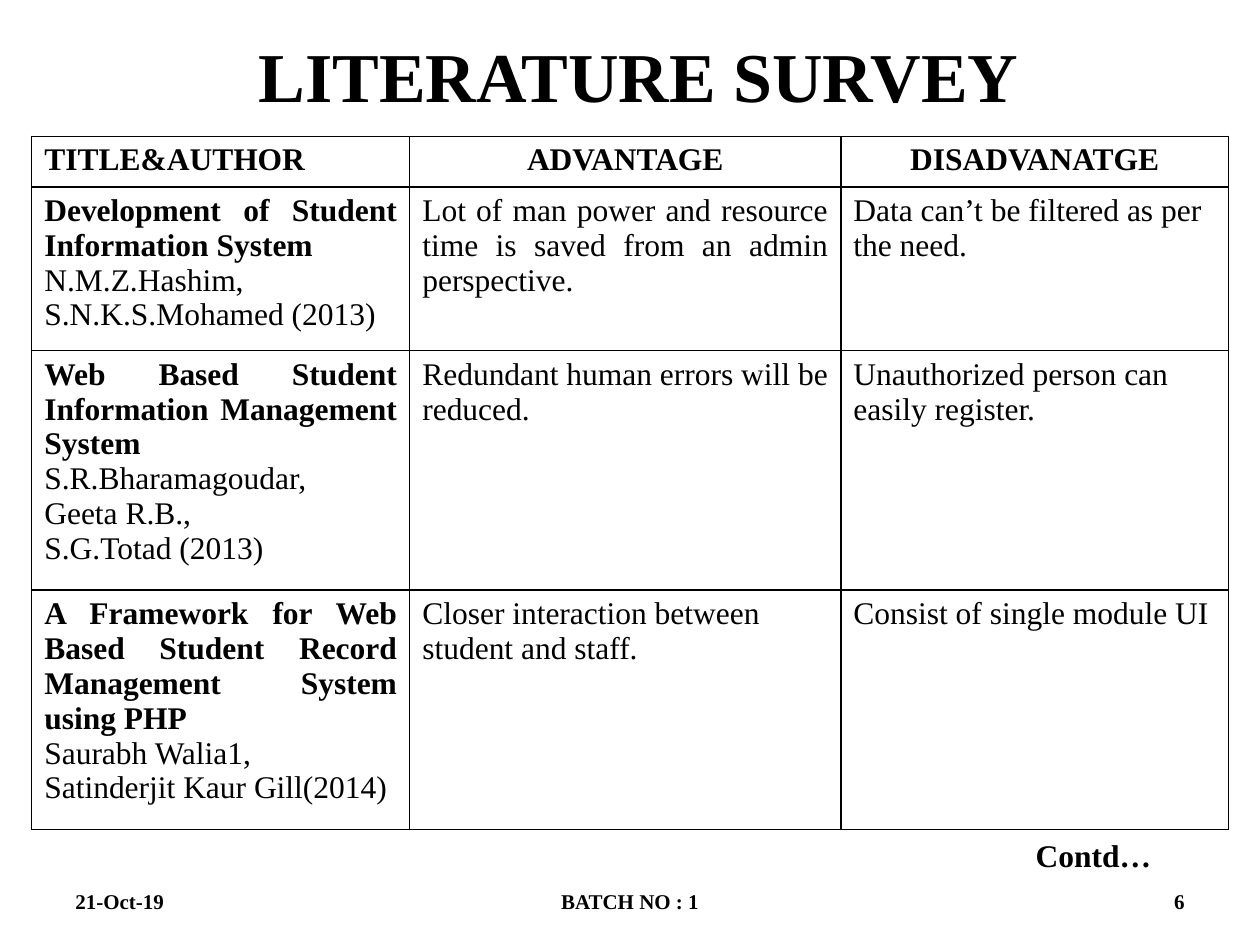
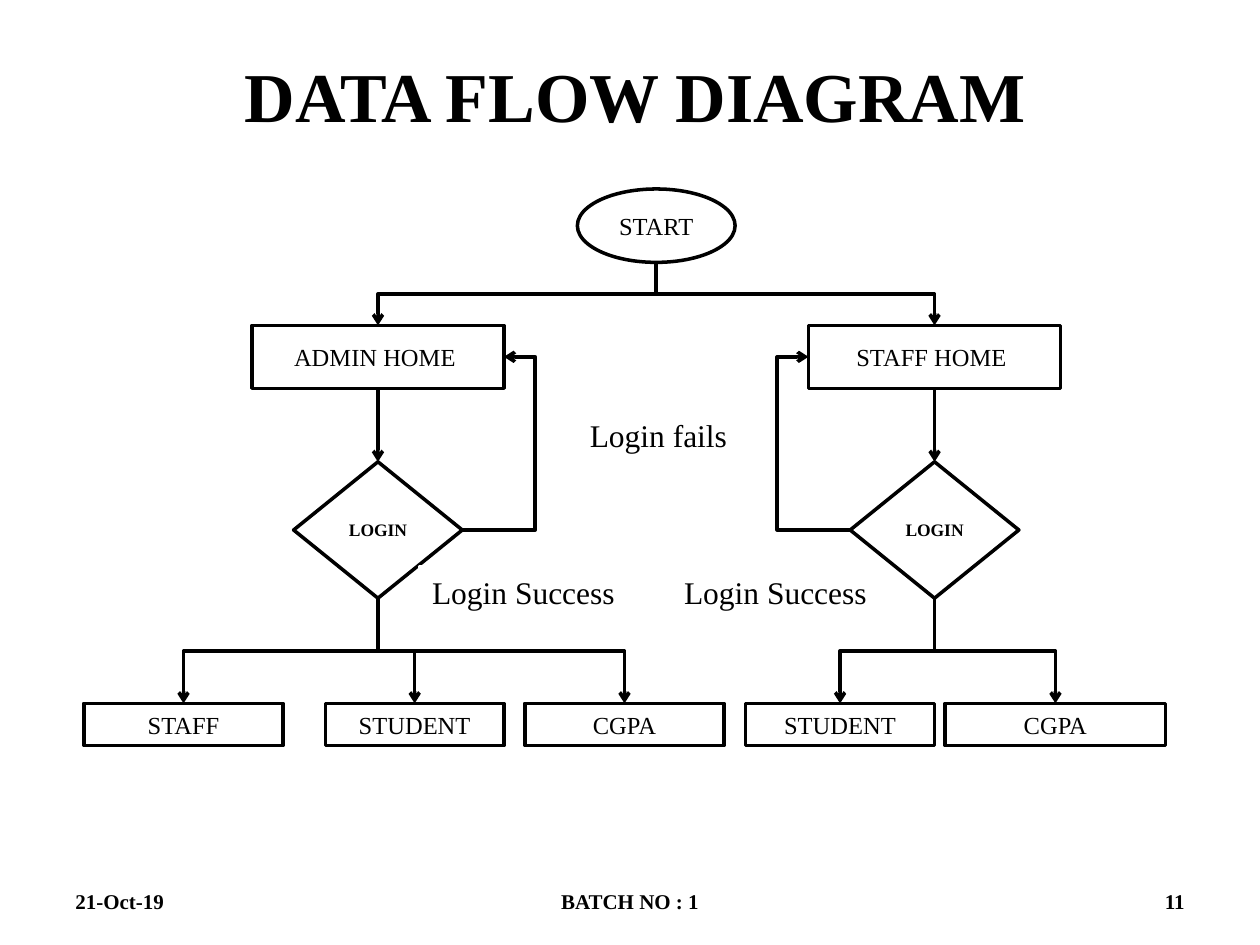
from lxml.etree import SubElement
from pptx import Presentation
from pptx.dml.color import RGBColor
from pptx.enum.shapes import MSO_CONNECTOR, MSO_SHAPE
from pptx.enum.text import MSO_ANCHOR, MSO_AUTO_SIZE, PP_ALIGN
from pptx.oxml.ns import qn
from pptx.util import Cm, Pt

# Shared style
BLACK = RGBColor(0x00, 0x00, 0x00)
WHITE = RGBColor(0xFF, 0xFF, 0xFF)
FONT = "Times New Roman"
LEFT, MID, RIGHT, FULL = PP_ALIGN.LEFT, PP_ALIGN.CENTER, PP_ALIGN.RIGHT, PP_ALIGN.JUSTIFY

# Connection sites, counted as on a rectangle
TOP, WEST, FOOT, EAST = range(4)

# Literature table: the first column holds a paper's title, then its authors
HEADS = ["TITLE&AUTHOR", "ADVANTAGE", "DISADVANATGE"]
PAPERS = [
    (["Development of Student Information System",
      "N.M.Z.Hashim, S.N.K.S.Mohamed (2013)"],
     "Lot of man power and resource time is saved from an admin perspective.",
     "Data can’t be filtered as per the need."),
    (["Web Based Student Information Management System",
      "S.R.Bharamagoudar, ", "Geeta R.B., ", "S.G.Totad (2013)"],
     "Redundant human errors will be reduced.",
     "Unauthorized person can easily register."),
    (["A Framework for Web Based Student Record Management System using PHP",
      "Saurabh Walia1, ", "Satinderjit Kaur Gill(2014) "],
     "Closer interaction between student and staff.",
     "Consist of single module UI"),
]
COLS = [7.62, 8.69, 7.82]
ROWS = [0.79, 3.18, 4.37, 4.37]

# Flow branches: home, centre, loop side, label left, leaves (text, left, width)
FLOWS = [
    ("ADMIN HOME ", 5.93, EAST, 6.77,
     [("STAFF", 0, 4.02), ("STUDENT", 4.87, 3.6), ("CGPA", 8.89, 4.02)]),
    ("STAFF HOME ", 17.15, WEST, 11.85,
     [("STUDENT", 13.34, 3.81), ("CGPA", 17.36, 4.45)]),
]


def put(para, text, size, bold=False, align=LEFT):
    """Add one formatted run to a paragraph."""
    para.alignment = align
    run = para.add_run()
    run.text = text
    font = run.font
    font.name, font.size, font.bold = FONT, Pt(size), bold
    font.color.rgb = BLACK


def add_text(slide, box, text, size, align=LEFT, anchor=MSO_ANCHOR.MIDDLE, wrap=True):
    frame = slide.shapes.add_textbox(*map(Cm, box)).text_frame
    frame.word_wrap = wrap
    frame.vertical_anchor = anchor
    put(frame.paragraphs[0], text, size, True, align)


def add_page(deck, title, box, number):
    """Start a slide with its title and footer."""
    slide = deck.slides.add_slide(deck.slide_layouts[5])
    head = slide.shapes.title
    head.left, head.top, head.width, head.height = map(Cm, box)
    frame = head.text_frame
    frame.auto_size = MSO_AUTO_SIZE.NONE
    frame.vertical_anchor = MSO_ANCHOR.MIDDLE
    put(frame.paragraphs[0], title, 40, True, MID)
    feet = [(1.27, 5.93, "21-Oct-19", LEFT),
            (8.68, 8.04, "BATCH NO : 1", MID),
            (18.2, 5.93, str(number), RIGHT)]
    for left, width, text, align in feet:
        add_text(slide, (left, 17.66, width, 1.01), text, 12, align)
    return slide


# Table
def rule_cell(cell):
    """Draw thin black borders and clear the fill."""
    props = cell._tc.get_or_add_tcPr()
    for tag in ("a:lnL", "a:lnR", "a:lnT", "a:lnB"):
        line = SubElement(props, qn(tag), w=str(Pt(1)))
        fill = SubElement(line, qn("a:solidFill"))
        SubElement(fill, qn("a:srgbClr"), val=str(BLACK))
    cell.fill.background()


def fill_cell(cell, lines, align, bold=False):
    """Write one paragraph a line; bold applies to the first."""
    frame = cell.text_frame
    for i, text in enumerate(lines):
        para = frame.add_paragraph() if i else frame.paragraphs[0]
        put(para, text, 18, bold and i == 0, align)
    rule_cell(cell)


def add_survey(slide, left, top):
    box = map(Cm, (left, top, sum(COLS), sum(ROWS)))
    table = slide.shapes.add_table(len(ROWS), len(COLS), *box).table
    table.first_row = table.horz_banding = False
    for col, width in zip(table.columns, COLS):
        col.width = Cm(width)
    for row, height in zip(table.rows, ROWS):
        row.height = Cm(height)
    for c, text in enumerate(HEADS):
        fill_cell(table.cell(0, c), [text], MID if c else LEFT, True)
    for r, (paper, gain, loss) in enumerate(PAPERS, 1):
        fill_cell(table.cell(r, 0), paper, FULL, True)
        fill_cell(table.cell(r, 1), [gain], FULL if r == 1 else LEFT)
        fill_cell(table.cell(r, 2), [loss], LEFT)


# Flow chart
def add_node(slide, kind, box, text, size=14, bold=False, edge=BLACK):
    node = slide.shapes.add_shape(kind, *map(Cm, box))
    node.shadow.inherit = False
    node.fill.solid()
    node.fill.fore_color.rgb = WHITE
    node.line.color.rgb = edge
    node.line.width = Pt(2)
    frame = node.text_frame
    frame.word_wrap = True
    frame.vertical_anchor = MSO_ANCHOR.MIDDLE
    put(frame.paragraphs[0], text, size, bold, MID)
    return node


def add_label(slide, box, text):
    """Place a white tag with left-aligned text."""
    tag = add_node(slide, MSO_SHAPE.RECTANGLE, box, text, 18, edge=WHITE)
    tag.text_frame.word_wrap = False
    tag.text_frame.vertical_anchor = MSO_ANCHOR.TOP
    tag.text_frame.paragraphs[0].alignment = LEFT


def port(node, side):
    """Return the point in the middle of a node's side."""
    across = {WEST: 0, EAST: node.width}.get(side, node.width // 2)
    down = {TOP: 0, FOOT: node.height}.get(side, node.height // 2)
    return node.left + across, node.top + down


def add_arrow(slide, kind, ends, start, stop):
    """Add an arrow glued to two (node, side) pairs."""
    link = slide.shapes.add_connector(kind, *ends)
    link.line.color.rgb = BLACK
    link.line.width = Pt(2)
    line = link.line._get_or_add_ln()
    SubElement(line, qn("a:tailEnd"), type="arrow")
    SubElement(link._element.spPr, qn("a:effectLst"))
    glue = link._element.nvCxnSpPr.cNvCxnSpPr
    for tag, (node, side) in (("a:stCxn", start), ("a:endCxn", stop)):
        step = 2 if node.auto_shape_type == MSO_SHAPE.OVAL else 1
        SubElement(glue, qn(tag), id=str(node.shape_id), idx=str(side * step))
    return link


def add_drop(slide, upper, lower):
    """Lead from the foot of one node down to the top of another."""
    start, stop = (upper, FOOT), (lower, TOP)
    (x1, y1), (x2, y2) = port(*start), port(*stop)
    if abs(x1 - x2) < Cm(0.05):
        add_arrow(slide, MSO_CONNECTOR.STRAIGHT, (x1, y1, x1, y2), start, stop)
        return
    # The elbow lies on its side, then turns about its centre
    x, y = (x1 + x2) // 2, (y1 + y2) // 2
    half, rise = (y2 - y1) // 2, abs(x2 - x1) // 2
    if x2 > x1:
        half, turn = -half, 270
    else:
        turn = 90
    ends = (x - half, y - rise, x + half, y + rise)
    link = add_arrow(slide, MSO_CONNECTOR.ELBOW, ends, start, stop)
    link._element.spPr.find(qn("a:xfrm")).set("rot", str(turn * 60000))


def add_loop(slide, login, home, side):
    """Lead back from a login to its home around one side."""
    start, stop = (login, side), (home, side)
    ends = port(*start) + port(*stop)
    link = add_arrow(slide, MSO_CONNECTOR.ELBOW, ends, start, stop)
    shape = link._element.spPr.find(qn("a:prstGeom"))
    SubElement(shape.find(qn("a:avLst")), qn("a:gd"), name="adj1", fmla="val 175000")


def add_branch(slide, left, top, start, flow):
    name, mid, side, tag, leaves = flow
    mid += left
    home = add_node(slide, MSO_SHAPE.RECTANGLE, (mid - 2.54, top + 2.75, 5.08, 1.27), name)
    login = add_node(slide, MSO_SHAPE.DIAMOND, (mid - 1.7, top + 5.5, 3.4, 2.75),
                     "LOGIN", 10, True)
    add_drop(slide, start, home)
    add_drop(slide, home, login)
    for text, x, width in leaves:
        leaf = add_node(slide, MSO_SHAPE.RECTANGLE,
                        (left + x, top + 10.37, width, 0.85), text)
        add_drop(slide, login, leaf)
    add_label(slide, (left + tag, top + 7.62, 4.24, 1.02), "Login Success")
    add_loop(slide, login, home, side)


def add_flow(slide, left, top):
    mid = left + sum(flow[1] for flow in FLOWS) / len(FLOWS)
    start = add_node(slide, MSO_SHAPE.OVAL, (mid - 1.59, top, 3.18, 1.48), "START")
    for flow in FLOWS:
        add_branch(slide, left, top, start, flow)
    add_label(slide, (left + 9.95, top + 4.45, 3.81, 1.02), "Login fails")


def main():
    deck = Presentation()
    deck.slide_width, deck.slide_height = Cm(25.4), Cm(19.05)

    # Survey
    page = add_page(deck, " LITERATURE SURVEY", (1.27, 0, 22.86, 3.02), 6)
    add_survey(page, 0.64, 2.75)
    add_text(page, (20.47, 16.72, 3.02, 1.02), " Contd…", 18,
             anchor=MSO_ANCHOR.TOP, wrap=False)

    # Data flow
    page = add_page(deck, "DATA FLOW DIAGRAM", (1.48, 0.64, 22.65, 2.54), 11)
    add_flow(page, 1.69, 3.81)

    deck.save("out.pptx")


if __name__ == "__main__":
    main()
